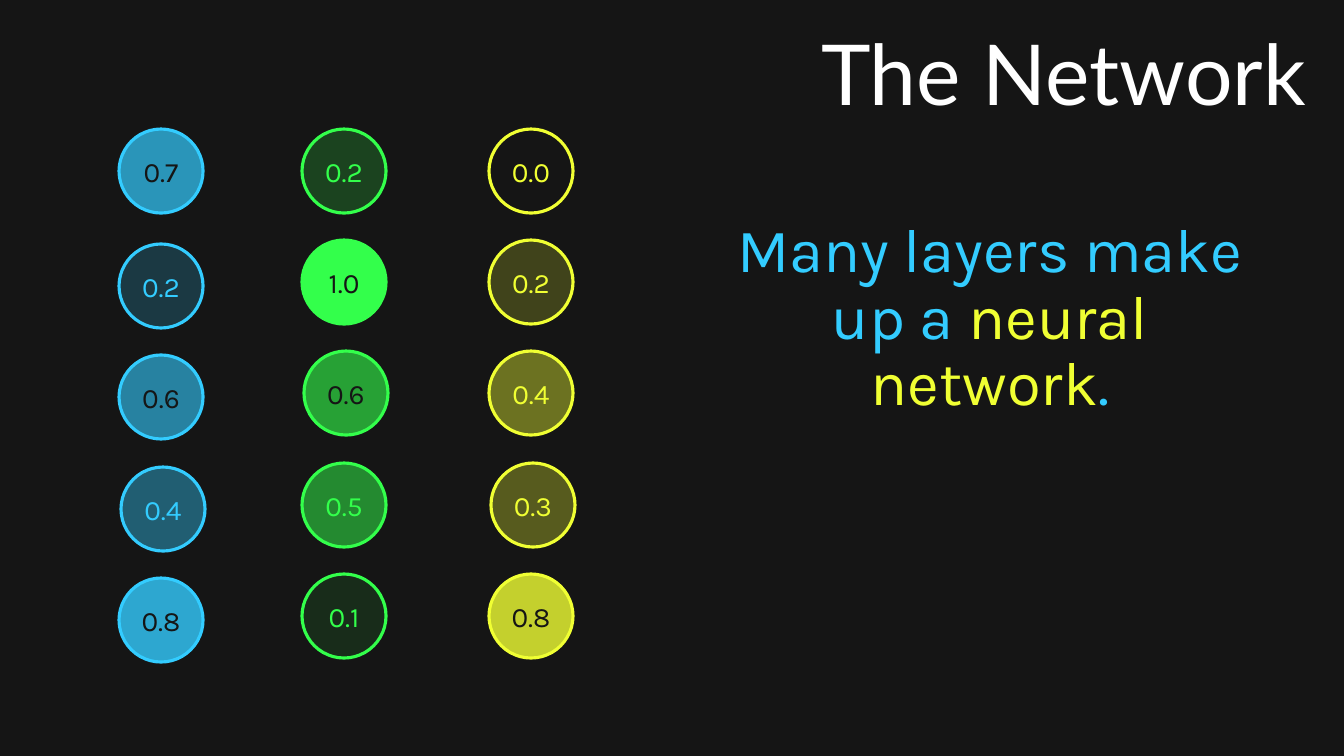
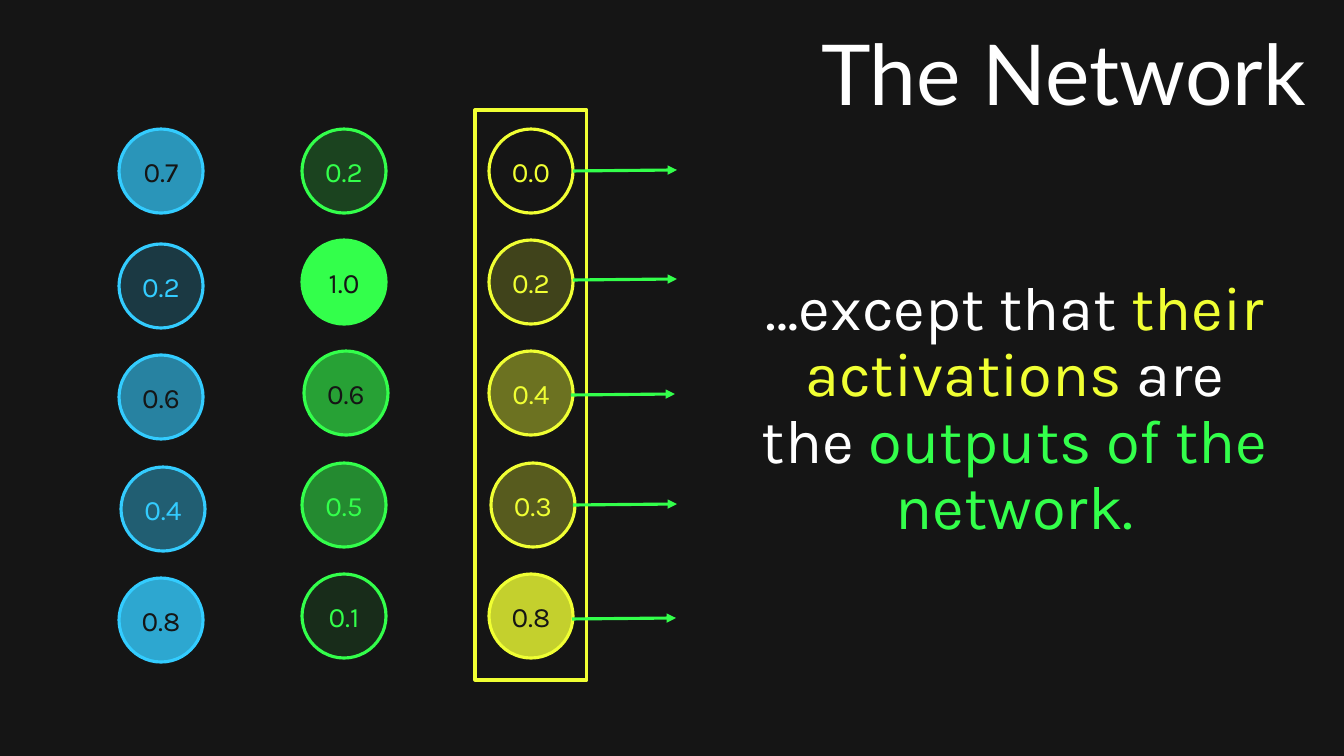
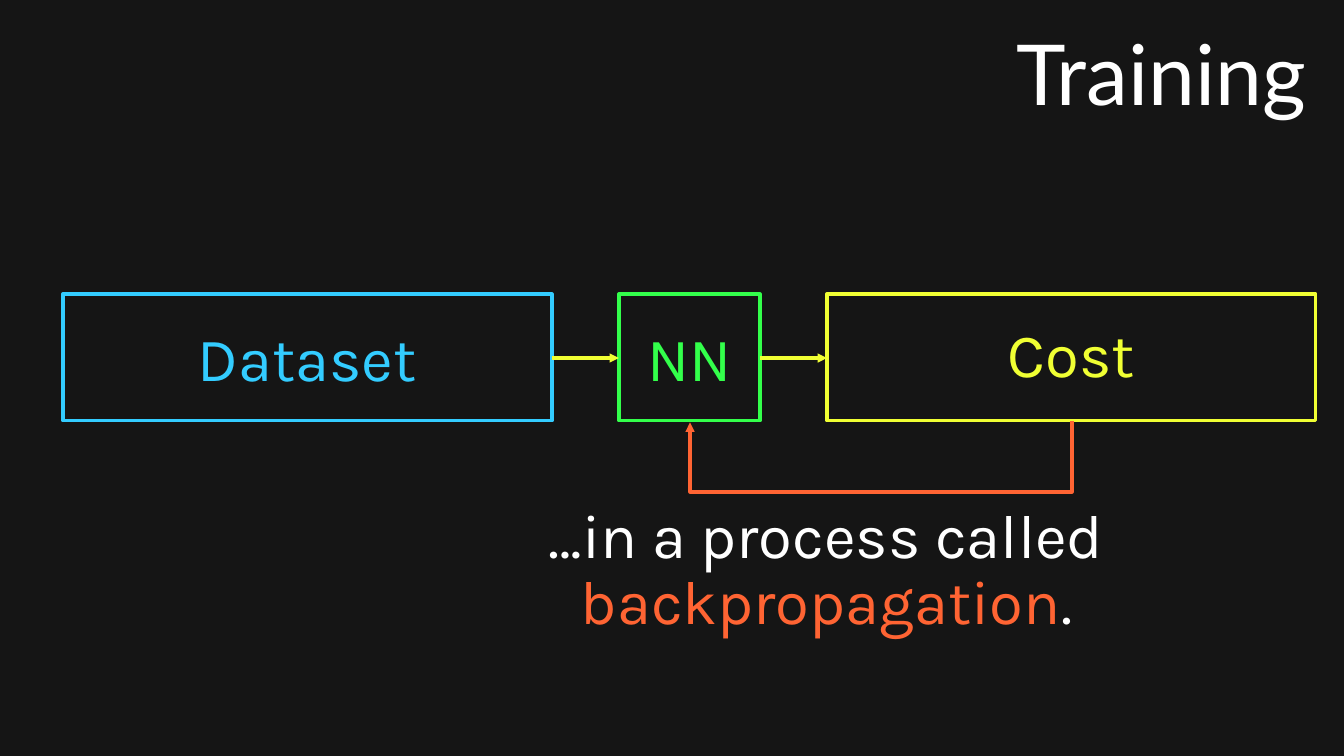
import lxml.etree
import pptx
import pptx.dml.color
import pptx.enum.shapes
import pptx.enum.text
import pptx.oxml.ns
import pptx.util

RGB = pptx.dml.color.RGBColor
DARK = RGB(0x15, 0x15, 0x15)
WHITE = RGB(0xFF, 0xFF, 0xFF)
BLUE = RGB(0x33, 0xCC, 0xFF)
GREEN = RGB(0x33, 0xFF, 0x4B)
YELLOW = RGB(0xF0, 0xFF, 0x33)
ORANGE = RGB(0xFF, 0x64, 0x33)

SHAPE = pptx.enum.shapes.MSO_SHAPE
CONNECTOR = pptx.enum.shapes.MSO_CONNECTOR
ALIGN = pptx.enum.text.PP_ALIGN
ANCHOR = pptx.enum.text.MSO_ANCHOR
qn = pptx.oxml.ns.qn

EMU_PER_PX = 914400 / 100.8
LINE_WIDTH = pptx.util.Pt(2.25)

TITLE = {"size": pptx.util.Pt(60), "name": "Lato"}
BODY = {"size": pptx.util.Pt(44), "name": "Karla"}
NEURON = {"size": pptx.util.Pt(20), "name": "Karla"}

NEURON_SIZE, NEURON_TOP, NEURON_PITCH = 84, 129, 111.25
DARK_TEXT_FROM = 0.6
# left, drop below the first row, row set 2 px right, colour, activations
LAYERS = [
    (119, 4, 3, BLUE, [0.7, 0.2, 0.6, 0.4, 0.8]),
    (302, 0, 2, GREEN, [0.2, 1.0, 0.6, 0.5, 0.1]),
    (489, 0, 3, YELLOW, [0.0, 0.2, 0.4, 0.3, 0.8]),
]
OUTPUT_STARTS = [(573, 171), (573, 280), (571, 395), (573, 505), (572, 619)]

BOX_TOP, BOX_HEIGHT = 294, 127
# text, left, width, bottom of the label, colour
STAGES = [
    ("NN", 619, 141, 400, GREEN),
    ("Dataset", 63, 489, 400, BLUE),
    ("Cost", 827, 489, 396, YELLOW),
]


def px(*values):
    """Turn pixel lengths into a list of EMU."""
    return [pptx.util.Emu(round(v * EMU_PER_PX)) for v in values]


def write(tf, runs, font, align, anchor=ANCHOR.BOTTOM, spacing=0.9):
    """Fill a text frame with one paragraph of (text, colour) runs."""
    tf.word_wrap = True
    tf.auto_size = pptx.enum.text.MSO_AUTO_SIZE.NONE
    tf.vertical_anchor = anchor
    p = tf.paragraphs[0]
    p.alignment = align
    p.line_spacing = spacing
    for text, colour in runs:
        r = p.add_run()
        r.text = text
        for key, value in font.items():
            setattr(r.font, key, value)
        r.font.color.rgb = colour


def add_titled_slide(prs, title):
    """Add a slide with its title at the top right."""
    slide = prs.slides.add_slide(prs.slide_layouts[5])
    sp = slide.shapes.title
    sp.left, sp.top, sp.width, sp.height = px(714, 14, 602, 115)
    write(sp.text_frame, [(title, WHITE)], TITLE, ALIGN.RIGHT)
    return slide


def add_text(slide, box, runs):
    """Add centred body text that stands on the bottom of its box."""
    sp = slide.shapes.add_textbox(*px(*box))
    write(sp.text_frame, runs, BODY, ALIGN.CENTER)


def add_outline(slide, kind, box, colour):
    """Add an unfilled shape with a coloured outline."""
    sp = slide.shapes.add_shape(kind, *px(*box))
    sp.shadow.inherit = False
    sp.fill.background()
    sp.line.color.rgb = colour
    sp.line.width = LINE_WIDTH
    return sp


def add_neuron(slide, left, top, colour, value):
    """Add a neuron whose fill is as opaque as its activation."""
    box = (left, top, NEURON_SIZE, NEURON_SIZE)
    sp = add_outline(slide, SHAPE.OVAL, box, colour)
    if value > 0:
        sp.fill.solid()
        sp.fill.fore_color.rgb = colour
    if 0 < value < 1:
        fill = sp.element.spPr.find(qn("a:solidFill"))
        alpha = lxml.etree.SubElement(fill[0], qn("a:alpha"))
        alpha.set("val", str(round(value * 100000)))
    text_colour = DARK if value >= DARK_TEXT_FROM else colour
    write(sp.text_frame, [(f"{value:.1f}", text_colour)], NEURON,
          ALIGN.CENTER, ANCHOR.MIDDLE, 1.0)


def add_network(slide):
    """Add the three layers of neurons."""
    for left, drop, nudged_row, colour, values in LAYERS:
        for row, value in enumerate(values):
            x = left + (2 if row == nudged_row else 0)
            y = NEURON_TOP + round(NEURON_PITCH * row) + (drop if row else 0)
            add_neuron(slide, x, y, colour, value)


def add_arrow(slide, start, end, colour, kind=CONNECTOR.STRAIGHT):
    """Add a connector with a triangle at its end."""
    cxn = slide.shapes.add_connector(kind, *px(*start, *end))
    cxn.line.color.rgb = colour
    cxn.line.width = LINE_WIDTH
    spPr = cxn.element.spPr
    lxml.etree.SubElement(spPr.find(qn("a:ln")), qn("a:tailEnd"), type="triangle")
    lxml.etree.SubElement(spPr, qn("a:effectLst"))
    return cxn


def add_feedback_arrow(slide, source_x, target_x, y, depth, colour):
    """Add an elbow arrow that leaves downwards and comes back up at y."""
    middle, half = (source_x + target_x) / 2, (source_x - target_x) / 2
    cxn = add_arrow(slide, (middle - 0.5, y - half), (middle + 0.5, y + half),
                    colour, CONNECTOR.ELBOW)
    spPr = cxn.element.spPr
    spPr.find(qn("a:xfrm")).set("rot", str(90 * 60000))
    geometry = spPr.find(qn("a:prstGeom"))
    guides = geometry.find(qn("a:avLst"))
    if guides is None:
        guides = lxml.etree.SubElement(geometry, qn("a:avLst"))
    lxml.etree.SubElement(guides, qn("a:gd"), name="adj1",
                          fmla=f"val {depth * 100000}")


def add_stage(slide, text, left, width, label_bottom, colour):
    """Add an outlined training stage and its label."""
    label_width, label_height = 530, 83
    label_left = left + (width - label_width) / 2
    add_text(slide, (label_left, label_bottom - label_height, label_width,
                     label_height), [(text, colour)])
    add_outline(slide, SHAPE.RECTANGLE, (left, BOX_TOP, width, BOX_HEIGHT), colour)


def build_layers(prs):
    """Build the slide on layers."""
    slide = add_titled_slide(prs, "The Network")
    add_text(slide, (725, 277, 530, 147), [
        ("Many layers make up a ", BLUE), ("neural network", YELLOW), (".", BLUE)])
    add_network(slide)


def build_outputs(prs):
    """Build the slide on the outputs of the last layer."""
    slide = add_titled_slide(prs, "The Network")
    add_text(slide, (750, 226, 530, 322), [
        ("…except that ", WHITE), ("their activations", YELLOW),
        (" are the ", WHITE), ("outputs of the network.", GREEN)])
    add_network(slide)
    add_outline(slide, SHAPE.RECTANGLE, (475, 110, 112, 570), YELLOW)
    for x, y in OUTPUT_STARTS:
        add_arrow(slide, (x, y), (x + 104, y - 1), GREEN)


def build_training(prs):
    """Build the slide on training."""
    slide = add_titled_slide(prs, "Training")
    for stage in STAGES:
        add_stage(slide, *stage)
    for start, end in [(552, 619), (760, 827)]:
        add_arrow(slide, (start, 358), (end, 358), YELLOW)
    add_feedback_arrow(slide, 1072, 690, BOX_TOP + BOX_HEIGHT + 1, 71, ORANGE)
    add_text(slide, (537, 437, 579, 206), [
        ("…in a process called ", WHITE), ("backpropagation", ORANGE), (".", WHITE)])


def main():
    """Build and save the presentation."""
    prs = pptx.Presentation()
    prs.slide_width, prs.slide_height = px(1344, 756)
    background = prs.slide_master.background.fill
    background.solid()
    background.fore_color.rgb = DARK
    build_layers(prs)
    build_outputs(prs)
    build_training(prs)
    prs.save("out.pptx")


main()
